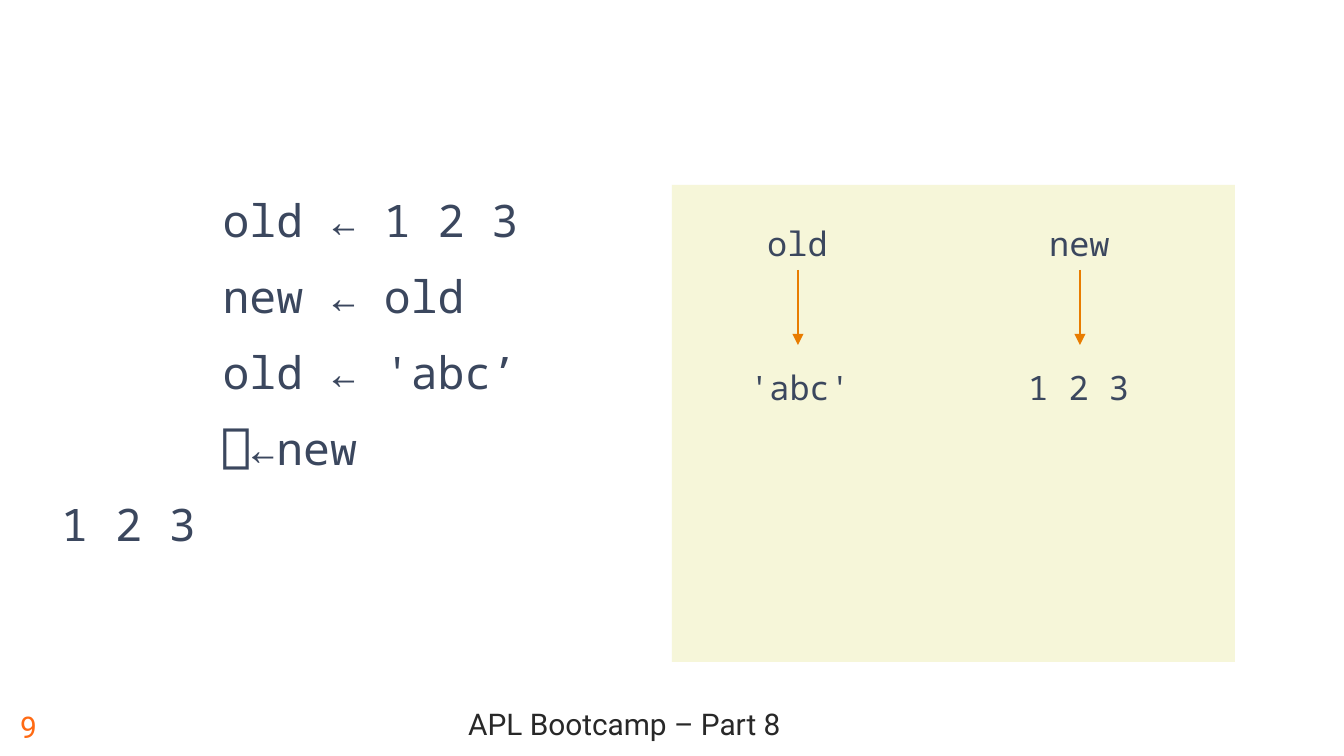
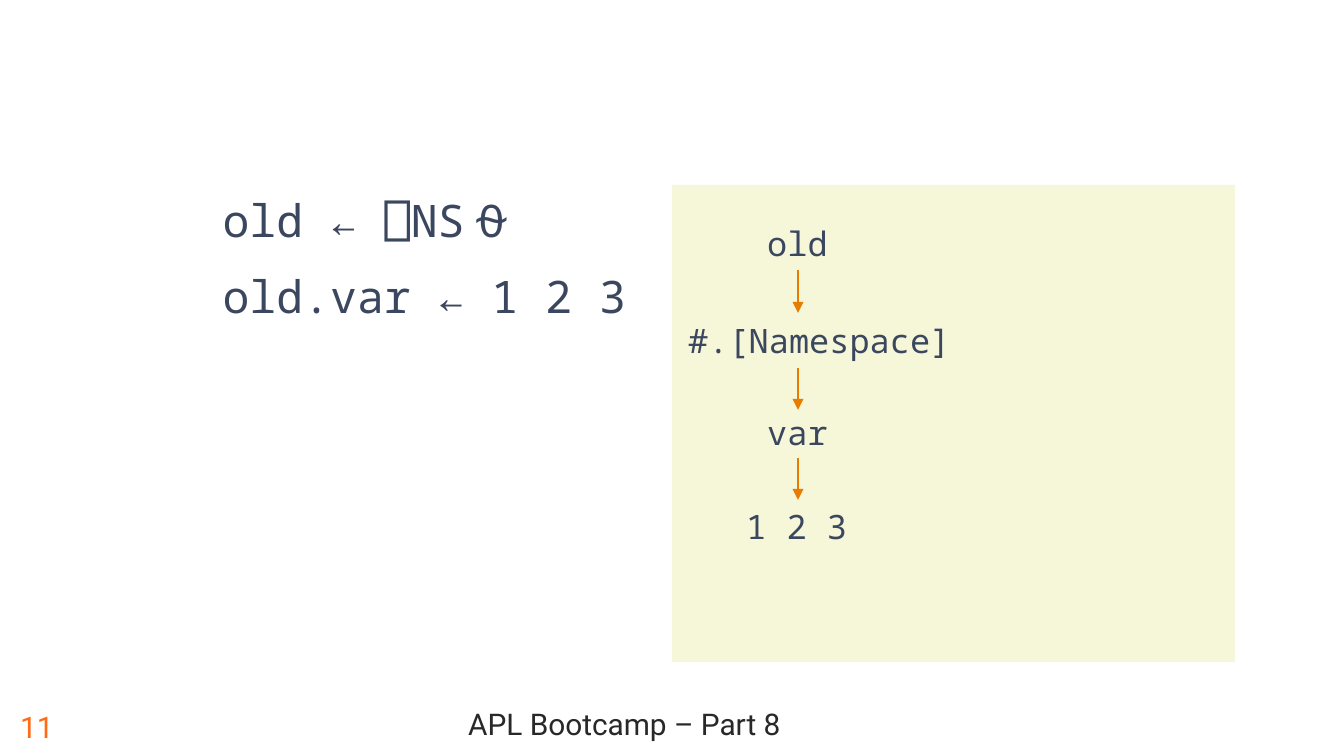
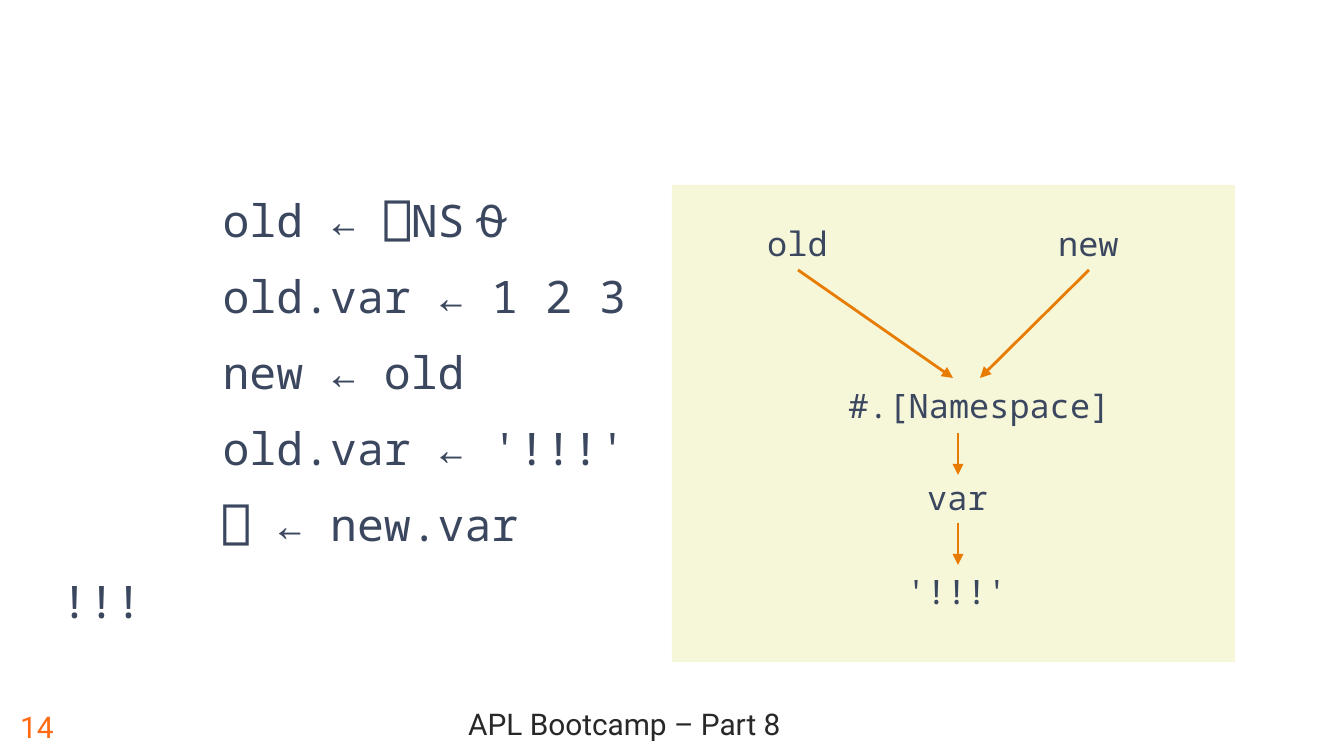
from dataclasses import dataclass
from typing import NamedTuple

from pptx import Presentation
from pptx.dml.color import RGBColor
from pptx.enum.shapes import MSO_CONNECTOR, MSO_SHAPE
from pptx.enum.text import MSO_ANCHOR, MSO_AUTO_SIZE, PP_ALIGN
from pptx.oxml.ns import qn
from pptx.util import Emu, Pt
from lxml.etree import SubElement

EMU_PER_PX = 914400 / 134.4


@dataclass(frozen=True)
class Theme:
    code_font: str = "Noto Sans Mono"
    footer_font: str = "Roboto"
    ink: str = "3B475E"
    footer_ink: str = "282828"
    number_ink: str = "FF6A13"
    panel_fill: str = "F6F6D9"
    arrow: str = "E87C00"
    code_size: int = 24
    label_size: int = 18
    footer_size: int = 16
    arrow_width: float = 1.5


class Box(NamedTuple):
    left: int
    top: int
    width: int
    height: int


THEME = Theme()
PAGE = Box(0, 0, 1344, 756)
CODE = Box(48, 186, 597, 477)
PANEL = Box(672, 185, 563, 477)
FOOTER = Box(0, 697, 1344, 59)

LABEL_HEIGHT = 54
OLD_X = 126      # centre of the first name in the memory panel
NAMES_TOP = 31   # top of the row of names
NAMES_BOTTOM = NAMES_TOP + LABEL_HEIGHT


def px(length):
    return Emu(round(length * EMU_PER_PX))


def add_text(slide, box, text, *, size, color, font=THEME.code_font,
             align=PP_ALIGN.LEFT, anchor=MSO_ANCHOR.TOP, wrap=True,
             space_after=0, line_spacing=None):
    frame = slide.shapes.add_textbox(*map(px, box)).text_frame
    frame.word_wrap = wrap
    frame.auto_size = MSO_AUTO_SIZE.NONE if wrap else MSO_AUTO_SIZE.SHAPE_TO_FIT_TEXT
    frame.vertical_anchor = anchor
    frame.text = text
    for paragraph in frame.paragraphs:
        paragraph.alignment = align
        paragraph.space_after = Pt(space_after)
        paragraph.line_spacing = line_spacing
        paragraph.font.name = font
        paragraph.font.size = Pt(size)
        paragraph.font.color.rgb = RGBColor.from_string(color)


# Parts of the memory panel, placed relative to its corner
def add_label(slide, panel, text, center, top):
    # A character is 20.2 px wide; the rest is insets and a little slack
    width = 31 + 101 * len(text) // 5
    left = panel.left + center - width // 2 + 1
    add_text(slide, Box(left, panel.top + top, width, LABEL_HEIGHT), text,
             size=THEME.label_size, color=THEME.ink, wrap=False)


def add_arrow(slide, panel, start, end):
    points = [px(offset + corner) for point in (start, end)
              for offset, corner in zip(point, (panel.left, panel.top))]
    arrow = slide.shapes.add_connector(MSO_CONNECTOR.STRAIGHT, *points)
    arrow.line.color.rgb = RGBColor.from_string(THEME.arrow)
    arrow.line.width = Pt(THEME.arrow_width)
    SubElement(arrow.line._get_or_add_ln(), qn("a:tailEnd"), type="triangle")
    SubElement(arrow._element.spPr, qn("a:effectLst"))


def add_panel(slide, panel):
    area = slide.shapes.add_shape(MSO_SHAPE.RECTANGLE, *map(px, panel))
    area.shadow.inherit = False
    area.fill.solid()
    area.fill.fore_color.rgb = RGBColor.from_string(THEME.panel_fill)
    area.line.fill.background()


def add_namespace(slide, panel, center, top, value):
    """Namespace, its variable and the value, one below the other."""
    add_label(slide, panel, "#.[Namespace]", center + 22, top)
    add_label(slide, panel, "var", center, top + 92)
    add_label(slide, panel, value, center, top + 186)
    for arrow_top in (top + 55, top + 145):
        add_arrow(slide, panel, (center, arrow_top), (center, arrow_top + 42))


# Panel contents
def draw_separate_values(slide, panel):
    new_x = 408
    for name, name_x, value, value_x in (("old", OLD_X, "'abc'", OLD_X + 3),
                                         ("new", new_x, "1 2 3", new_x)):
        add_label(slide, panel, name, name_x, NAMES_TOP)
        add_label(slide, panel, value, value_x, 175)
        add_arrow(slide, panel, (name_x, NAMES_BOTTOM), (name_x, 160))


def draw_one_reference(slide, panel):
    namespace_top = 128
    add_label(slide, panel, "old", OLD_X, NAMES_TOP)
    add_arrow(slide, panel, (OLD_X, NAMES_BOTTOM), (OLD_X, namespace_top))
    add_namespace(slide, panel, OLD_X, namespace_top, "1 2 3")


def draw_shared_reference(slide, panel):
    namespace_top = 193
    for name, name_x, target_x in (("old", OLD_X, 281), ("new", 417, 308)):
        add_label(slide, panel, name, name_x, NAMES_TOP)
        add_arrow(slide, panel, (name_x, NAMES_BOTTOM), (target_x, namespace_top))
    add_namespace(slide, panel, 286, namespace_top, "'!!!'")


# Slide frame
def add_footer(slide, footer, number):
    style = dict(font=THEME.footer_font, size=THEME.footer_size, anchor=MSO_ANCHOR.MIDDLE)
    add_text(slide, Box(footer.left + 105, footer.top, 1039, footer.height),
             "APL Bootcamp – Part 8", color=THEME.footer_ink,
             align=PP_ALIGN.CENTER, line_spacing=0.8, **style)
    add_text(slide, Box(footer.left + 7, footer.top, 98, footer.height),
             str(number), color=THEME.number_ink, **style)


def add_session_slide(deck, number, session, draw_memory):
    slide = deck.slides.add_slide(deck.slide_layouts[6])
    add_footer(slide, FOOTER, number)
    add_text(slide, CODE, session, size=THEME.code_size, color=THEME.ink, space_after=12)
    add_panel(slide, PANEL)
    draw_memory(slide, PANEL)


NAMESPACE_SETUP = "      old ← ⎕NS⍬\n      old.var ← 1 2 3"
SESSIONS = (
    (9, "      old ← 1 2 3\n      new ← old\n      old ← 'abc’\n      ⎕←new\n1 2 3",
     draw_separate_values),
    (11, NAMESPACE_SETUP, draw_one_reference),
    (14, NAMESPACE_SETUP
     + "\n      new ← old\n      old.var ← '!!!'\n      ⎕ ← new.var\n!!!",
     draw_shared_reference),
)


def main():
    deck = Presentation()
    deck.slide_width, deck.slide_height = px(PAGE.width), px(PAGE.height)
    for number, session, draw_memory in SESSIONS:
        add_session_slide(deck, number, session, draw_memory)
    deck.save("out.pptx")


if __name__ == "__main__":
    main()
